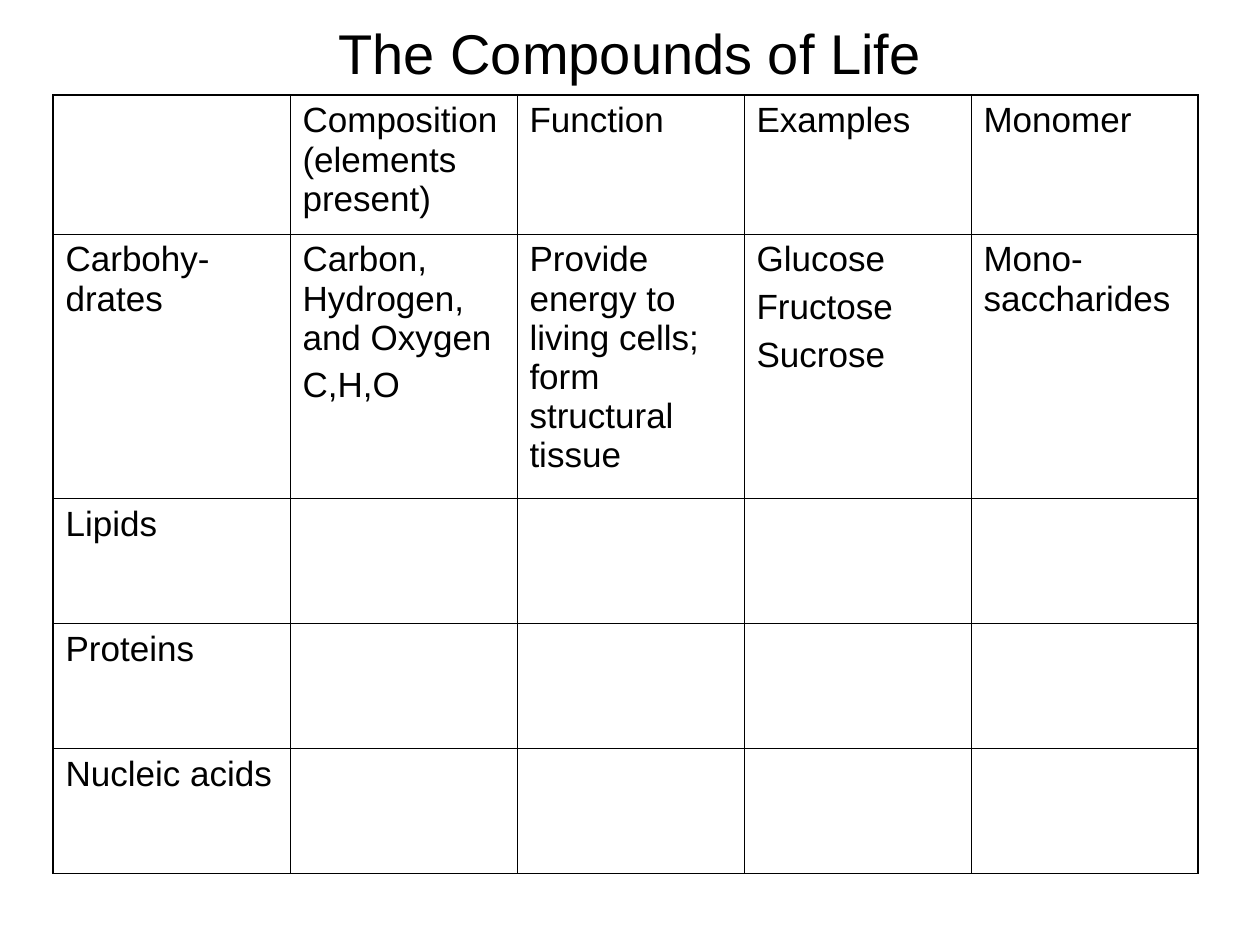
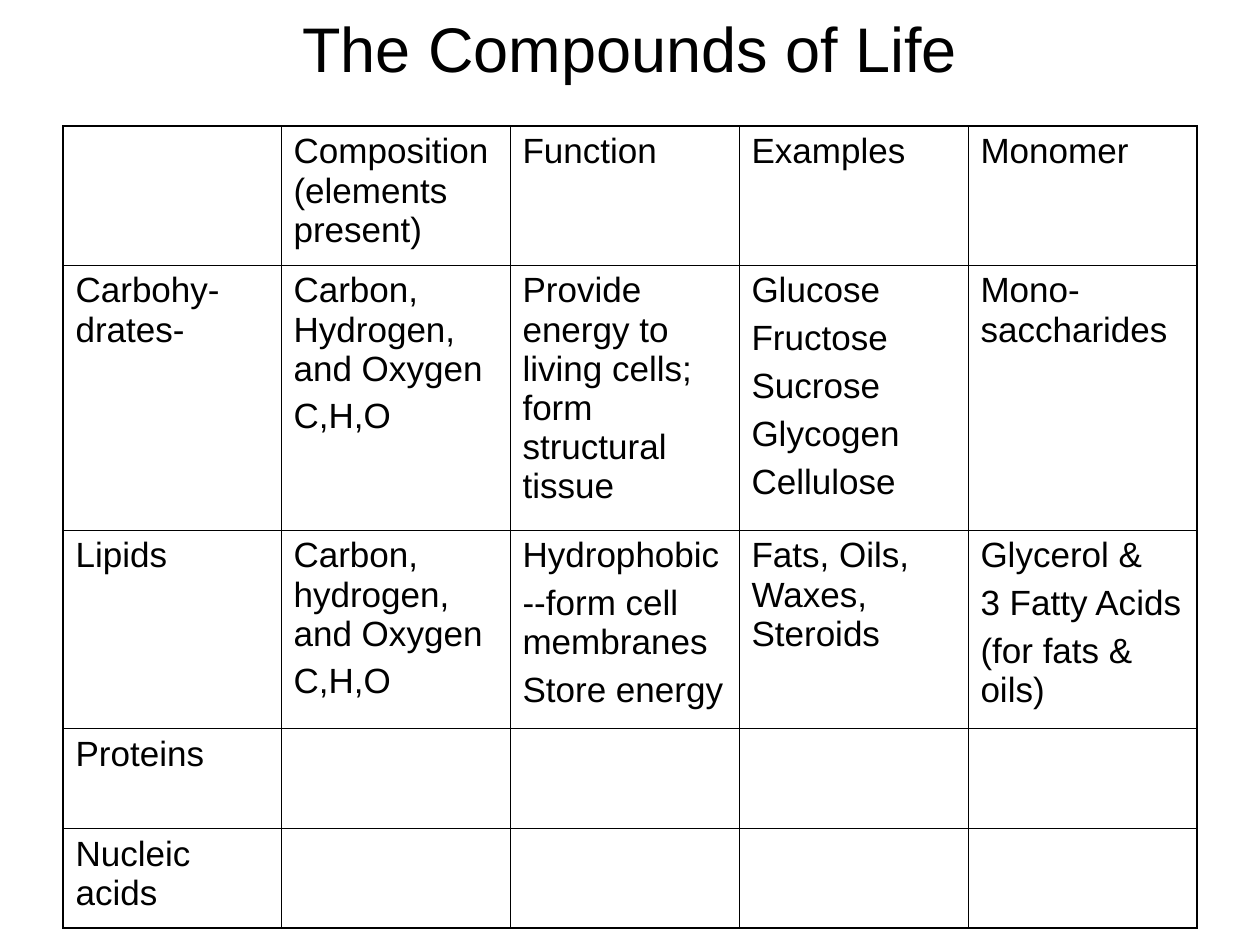
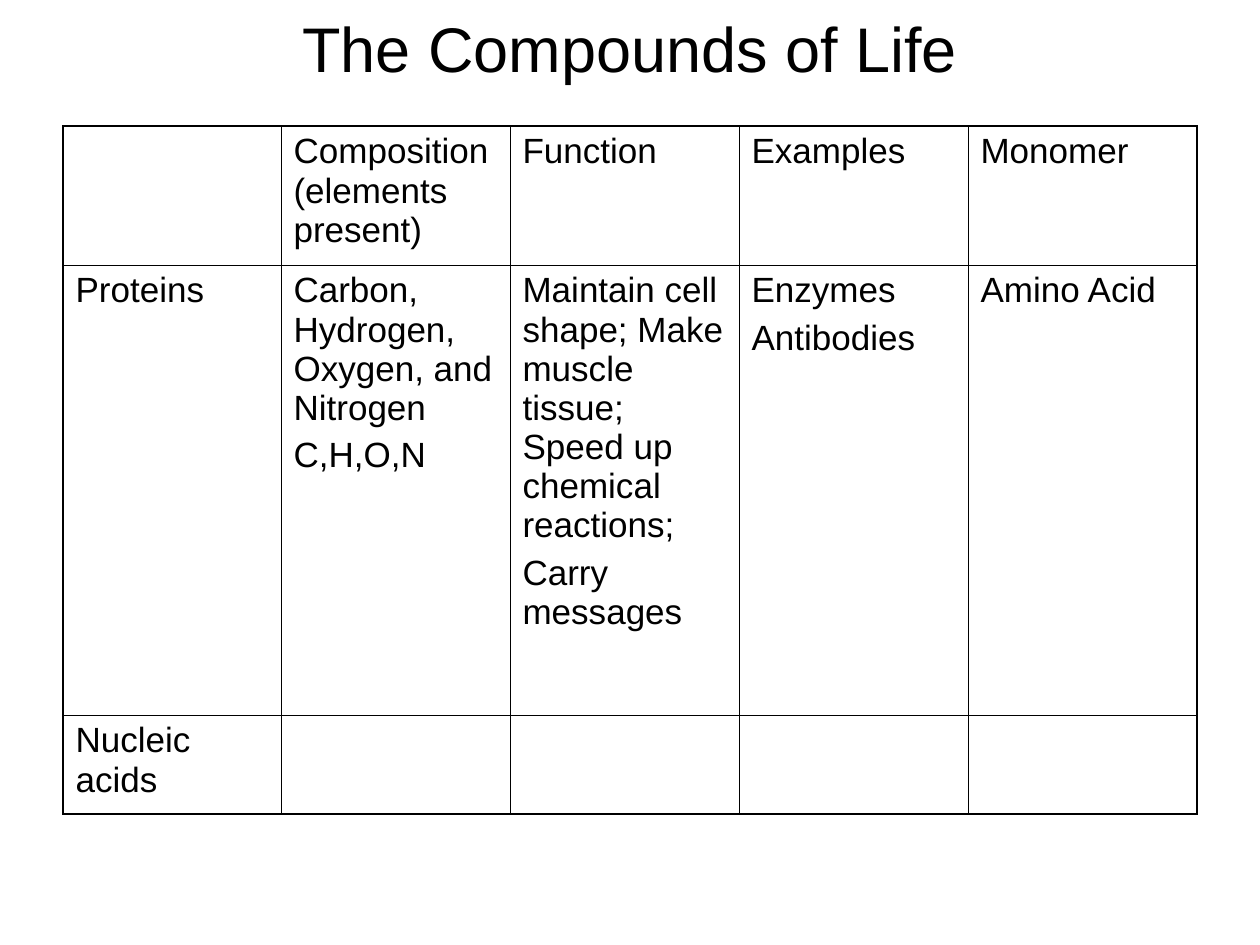
from lxml.etree import SubElement
from pptx import Presentation
from pptx.dml.color import RGBColor
from pptx.enum.text import MSO_ANCHOR, PP_ALIGN
from pptx.oxml.ns import qn
from pptx.util import Emu, Pt

PX_PER_INCH = 126


def px(n):
    return Emu(round(n * 914400 / PX_PER_INCH))


def rgb(value):
    return RGBColor.from_string(value)


class Deck:
    font = "Arial"
    ink = "000000"
    cell_size = 20
    paragraph_gap = 5
    inner_line = 0.45
    outer_line = 1.08

    def __init__(self, width, height):
        self.prs = Presentation()
        self.prs.slide_width = px(width)
        self.prs.slide_height = px(height)
        self.s = None

    def slide(self):
        self.s = self.prs.slides.add_slide(self.prs.slide_layouts[6])

    def run(self, p, text, size):
        r = p.add_run()
        r.text = text
        r.font.name = self.font
        r.font.size = Pt(size)
        r.font.color.rgb = rgb(self.ink)

    def title(self, text, box, size):
        tf = self.s.shapes.add_textbox(*map(px, box)).text_frame
        tf.word_wrap = True
        tf.vertical_anchor = MSO_ANCHOR.MIDDLE
        p = tf.paragraphs[0]
        p.alignment = PP_ALIGN.CENTER
        self.run(p, text, size)

    def border(self, cell, side, width):
        ln = SubElement(cell._tc.get_or_add_tcPr(), qn(f"a:ln{side}"), w=str(Pt(width)))
        fill = SubElement(ln, qn("a:solidFill"))
        SubElement(fill, qn("a:srgbClr"), val=self.ink)

    def cell(self, cell, lines, outer_sides):
        for side in "LRTB":
            self.border(cell, side, self.outer_line if side in outer_sides else self.inner_line)
        cell.fill.background()
        tf = cell.text_frame
        for i, line in enumerate(lines):
            p = tf.add_paragraph() if i else tf.paragraphs[0]
            if i:
                p.space_before = Pt(self.paragraph_gap)
            self.run(p, line, self.cell_size)

    def table(self, left, top, widths, heights, rows):
        box = (left, top, sum(widths), sum(heights))
        table = self.s.shapes.add_table(len(heights), len(widths), *map(px, box)).table
        table.first_row = table.horz_banding = False
        for column, width in zip(table.columns, widths):
            column.width = px(width)
        for row, height in zip(table.rows, heights):
            row.height = px(height)
        last_row, last_col = len(heights) - 1, len(widths) - 1
        for y, texts in enumerate(rows):
            for x in range(len(widths)):
                edges = {"L": x == 0, "R": x == last_col, "T": y == 0, "B": y == last_row}
                outer_sides = [side for side, outer in edges.items() if outer]
                lines = texts[x].split("\n") if x < len(texts) and texts[x] else []
                self.cell(table.cell(y, x), lines, outer_sides)


TITLE = "The Compounds of Life"
HEADER = ["", "Composition (elements present)", "Function", "Examples", "Monomer"]
CHO = "Carbon, Hydrogen, and Oxygen\nC,H,O"
SUGARS = "Glucose\nFructose\nSucrose"
ENERGY = "Provide energy to living cells; form structural tissue"
SUGAR_UNIT = "Mono-saccharides"
LIPIDS = [
    "Lipids",
    "Carbon, hydrogen, and Oxygen\nC,H,O",
    "Hydrophobic\n--form cell membranes\nStore energy",
    "Fats, Oils, Waxes, Steroids",
    "Glycerol &\n3 Fatty Acids\n(for fats & oils)",
]
PROTEINS = [
    "Proteins",
    "Carbon, Hydrogen, Oxygen, and Nitrogen\nC,H,O,N",
    "Maintain cell shape; Make muscle tissue; Speed up chemical reactions;\nCarry messages",
    "Enzymes\nAntibodies",
    "Amino Acid",
]
NUCLEIC_ACIDS = ["Nucleic acids"]

WIDE_TITLE = ((0, 0, 1260, 105), 32)
LARGE_TITLE = ((63, 0, 1134, 95), 36)
WIDE_GRID = (53, 95, [237] + [227] * 4)
GRID = (63, 126, [218] + [229] * 4)

SLIDES = [
    (WIDE_TITLE, WIDE_GRID, [139, 264, 125, 125, 125], [
        HEADER,
        ["Carbohy-drates", CHO, ENERGY, SUGARS, SUGAR_UNIT],
        LIPIDS[:1],
        PROTEINS[:1],
        NUCLEIC_ACIDS,
    ]),
    (LARGE_TITLE, GRID, [139, 265, 198, 100, 100], [
        HEADER,
        ["Carbohy-drates-", CHO, ENERGY, SUGARS + "\nGlycogen\nCellulose", SUGAR_UNIT],
        LIPIDS,
        PROTEINS[:1],
        NUCLEIC_ACIDS,
    ]),
    (LARGE_TITLE, GRID, [139, 450, 99], [HEADER, PROTEINS, NUCLEIC_ACIDS]),
]


def main():
    deck = Deck(1260, 945)
    for (box, size), (left, top, widths), heights, rows in SLIDES:
        deck.slide()
        deck.title(TITLE, box, size)
        deck.table(left, top, widths, heights, rows)
    deck.prs.save("out.pptx")


if __name__ == "__main__":
    main()
